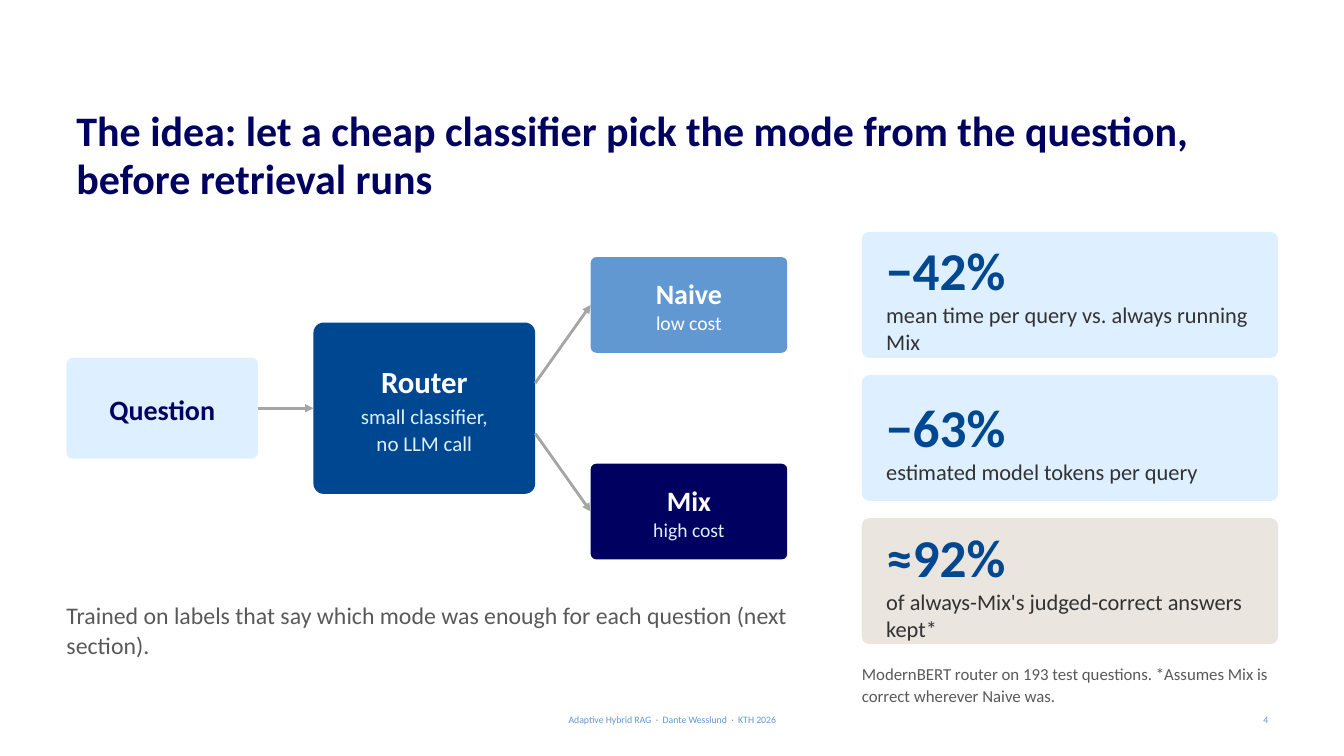
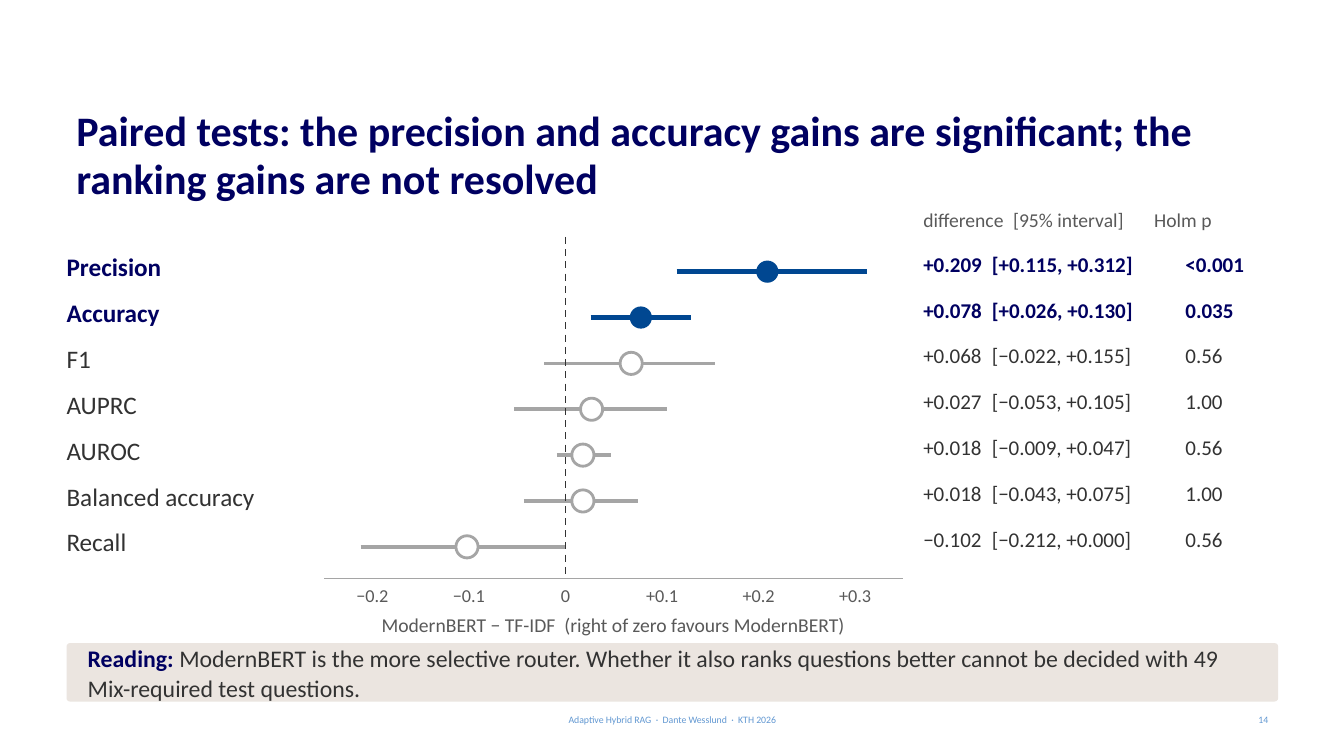
"""Build two slides on routing questions between retrieval modes."""
import dataclasses

import pptx
import pptx.dml.color
import pptx.enum.dml
import pptx.enum.shapes
import pptx.enum.text
import pptx.oxml.ns
import pptx.oxml.xmlchemy
import pptx.util

ALIGN = pptx.enum.text.PP_ALIGN
ANCHOR = pptx.enum.text.MSO_ANCHOR
SHAPE = pptx.enum.shapes.MSO_SHAPE
ELEMENT = pptx.oxml.xmlchemy.OxmlElement


@dataclasses.dataclass(frozen=True)
class Theme:
    font: str = "Calibri"
    navy: str = "000061"
    blue: str = "004791"
    sky: str = "6298D2"
    ice: str = "DEF0FF"
    sand: str = "EBE5E0"
    ink: str = "323232"
    muted: str = "595959"
    rule: str = "A5A5A5"
    white: str = "FFFFFF"
    title: int = 30
    figure: int = 38
    router: int = 22
    node: int = 20
    metric: int = 18
    body: int = 17
    caption: int = 16
    value: int = 15
    label: int = 14
    tick: int = 13
    note: int = 12
    footer: int = 7


THEME = Theme()
CELL = 0.1
COLUMNS, ROWS = 133.33, 75
LEFT, WIDTH = 6.6, 120.2
STAT_LEFT, STAT_WIDTH = 85.5, 41.3
VALUE_LEFT, HOLM_LEFT = 91.6, 117.6
ZERO, COLUMNS_PER_UNIT = 56.1, 95.8
AXIS_LOW, AXIS_HIGH, AXIS_ROW = -0.25, 0.35, 57.4
FIRST_ROW, ROW_STEP, MARKER = 26.95, 4.55, 2.2


@dataclasses.dataclass(frozen=True)
class Run:
    text: str
    size: int
    color: str
    bold: bool = False


@dataclasses.dataclass(frozen=True)
class Line:
    runs: tuple
    after: int = 6
    spacing: float = 1.05
    tabs: tuple = ()


def line(text, size, color, bold=False, **layout):
    return Line((Run(text, size, color, bold),), **layout)


def grid(*cells):
    return [pptx.util.Inches(cell * CELL) for cell in cells]


def rgb(color):
    return pptx.dml.color.RGBColor.from_string(color)


def add_tabs(paragraph, stops):
    tab_list = ELEMENT("a:tabLst")
    for stop in grid(*stops):
        tab = ELEMENT("a:tab")
        tab.set("pos", str(stop))
        tab.set("algn", "l")
        tab_list.append(tab)
    paragraph._p.get_or_add_pPr().append(tab_list)


def write(shape, lines, align=ALIGN.LEFT, anchor=ANCHOR.TOP, insets=(0, 0, 0, 0)):
    frame = shape.text_frame
    frame.word_wrap = True
    frame.vertical_anchor = anchor
    (frame.margin_left, frame.margin_top,
     frame.margin_right, frame.margin_bottom) = grid(*insets)
    for index, content in enumerate(lines):
        paragraph = frame.add_paragraph() if index else frame.paragraphs[0]
        if content.tabs:
            add_tabs(paragraph, content.tabs)
        paragraph.alignment = align
        paragraph.line_spacing = content.spacing
        paragraph.space_after = pptx.util.Pt(content.after)
        paragraph.text = content.runs[0].text
        for extra in content.runs[1:]:
            paragraph.add_run().text = extra.text
        styles = content.runs if len(content.runs) > 1 else content.runs * len(paragraph.runs)
        for run, style in zip(paragraph.runs, styles):
            run.font.name = THEME.font
            run.font.size = pptx.util.Pt(style.size)
            run.font.bold = style.bold
            run.font.color.rgb = rgb(style.color)


def add_text(slide, box, *lines, **layout):
    write(slide.shapes.add_textbox(*grid(*box)), lines, **layout)


def add_filled(slide, kind, box, fill, outline=None):
    shape = slide.shapes.add_shape(kind, *grid(*box))
    shape.shadow.inherit = False
    shape.fill.solid()
    shape.fill.fore_color.rgb = rgb(fill)
    if outline:
        shape.line.color.rgb = rgb(outline)
        shape.line.width = pptx.util.Pt(2)
    else:
        shape.line.fill.background()
    return shape


def add_panel(slide, box, fill, *lines, inset=1.8, align=ALIGN.LEFT):
    panel = add_filled(slide, SHAPE.ROUNDED_RECTANGLE, box, fill)
    panel.adjustments[0] = 0.06
    write(panel, lines, align, ANCHOR.MIDDLE, (inset,) * 4)
    return panel


def add_line(slide, start, end, color, width, dashed=False):
    connector = slide.shapes.add_connector(
        pptx.enum.shapes.MSO_CONNECTOR.STRAIGHT, *grid(*start, *end))
    connector.line.color.rgb = rgb(color)
    connector.line.width = pptx.util.Pt(width)
    if dashed:
        connector.line.dash_style = pptx.enum.dml.MSO_LINE.DASH
    connector._element.spPr.append(ELEMENT("a:effectLst"))
    return connector


def add_arrow(slide, start, end, target, source=None):
    arrow = add_line(slide, start, end, THEME.rule, 2)
    if source is not None:
        arrow.begin_connect(source, 3)
    arrow.end_connect(target, 1)
    head = ELEMENT("a:tailEnd")
    head.set("type", "triangle")
    arrow._element.spPr.find(pptx.oxml.ns.qn("a:ln")).append(head)


def add_slide(presentation, title, number):
    slide = presentation.slides.add_slide(presentation.slide_layouts[6])
    add_text(slide, (LEFT, 9.5, WIDTH, 10.5),
             line(title, THEME.title, THEME.navy, True, after=0, spacing=0.95),
             insets=(1, 1.2, 1, 0.5))
    footers = (
        (44.2, 45, "Adaptive Hybrid RAG  ·  Dante Wesslund  ·  KTH 2026", ALIGN.CENTER),
        (96.8, 30, str(number), ALIGN.RIGHT),
    )
    for left, width, text, align in footers:
        add_text(slide, (left, 70.8, width, 1.1),
                 line(text, THEME.footer, THEME.sky, after=0, spacing=1),
                 align=align, anchor=ANCHOR.MIDDLE, insets=(1, 0.5, 1, 0.5))
    return slide


def add_node(slide, box, fill, *lines):
    return add_panel(slide, box, fill, *lines, align=ALIGN.CENTER)


def add_mode(slide, top, fill, name, cost, cost_color):
    return add_node(slide, (58.6, top, 19.5, 9.5), fill,
                    line(name, THEME.node, THEME.white, True, after=0),
                    line(cost, THEME.label, cost_color))


def add_routing(slide):
    question = add_node(slide, (LEFT, 35.5, 19, 10), THEME.ice,
                        line("Question", THEME.node, THEME.navy, True))
    router = add_node(slide, (31.1, 32, 22, 17), THEME.blue,
                      line("Router", THEME.router, THEME.white, True, after=2),
                      line("small classifier,\nno LLM call", THEME.value, THEME.ice))
    naive = add_mode(slide, 25.5, THEME.sky, "Naive", "low cost", THEME.white)
    mix = add_mode(slide, 46, THEME.navy, "Mix", "high cost", THEME.ice)
    add_arrow(slide, (25.6, 40.5), (31.1, 40.5), router, question)
    add_arrow(slide, (53.1, 38), (58.6, 30.25), naive)
    add_arrow(slide, (53.1, 43), (58.6, 50.75), mix)


def add_stats(slide):
    stats = (
        ("−42%", "mean time per query vs. always running Mix", THEME.ice),
        ("−63%", "estimated model tokens per query", THEME.ice),
        ("≈92%", "of always-Mix's judged-correct answers kept*", THEME.sand),
    )
    for index, (figure, caption, fill) in enumerate(stats):
        add_panel(slide, (STAT_LEFT, 23 + 14.2 * index, STAT_WIDTH, 12.5), fill,
                  line(figure, THEME.figure, THEME.blue, True, after=0),
                  line(caption, THEME.caption, THEME.ink, spacing=1),
                  inset=2.2)


def add_idea_slide(presentation):
    slide = add_slide(presentation, "The idea: let a cheap classifier pick the mode "
                      "from the question, before retrieval runs", 4)
    add_routing(slide)
    add_text(slide, (LEFT, 59.5, 72, 8),
             line("Trained on labels that say which mode was enough for each "
                  "question (next section).", THEME.body, THEME.muted))
    add_stats(slide)
    add_text(slide, (STAT_LEFT, 65.8, STAT_WIDTH, 4),
             line("ModernBERT router on 193 test questions. *Assumes Mix is "
                  "correct wherever Naive was.", THEME.note, THEME.muted))


def signed(value, digits):
    return f"{value:+.{digits}f}".replace("-", "−")


def axis_column(value):
    return ZERO + value * COLUMNS_PER_UNIT


def add_test(slide, index, name, difference, low, high, holm, significant):
    middle = FIRST_ROW + ROW_STEP * index
    top = middle - 2.15
    color = THEME.navy if significant else THEME.ink
    accent, width = (THEME.blue, 3.5) if significant else (THEME.rule, 2.5)
    fill, outline = (THEME.blue, None) if significant else (THEME.white, THEME.rule)
    add_line(slide, (axis_column(low), middle), (axis_column(high), middle), accent, width)
    add_filled(slide, SHAPE.OVAL,
               (axis_column(difference) - MARKER / 2, middle - MARKER / 2, MARKER, MARKER),
               fill, outline)
    interval = f"{signed(difference, 3)}\t[{signed(low, 3)}, {signed(high, 3)}]"
    cells = (
        (LEFT, 24.5, name, THEME.metric, ()),
        (VALUE_LEFT, 26, interval, THEME.value, (6.8,)),
        (HOLM_LEFT, 9.5, holm, THEME.value, ()),
    )
    for left, cell_width, text, size, tabs in cells:
        add_text(slide, (left, top, cell_width, 4.2),
                 line(text, size, color, significant, tabs=tabs))


def add_axis(slide):
    add_line(slide, (ZERO, 23.5), (ZERO, AXIS_ROW), THEME.ink, 1.25, dashed=True)
    add_line(slide, (axis_column(AXIS_LOW), AXIS_ROW),
             (axis_column(AXIS_HIGH), AXIS_ROW), THEME.rule, 1)
    for tenth in range(-2, 4):
        value = tenth / 10
        add_text(slide, (axis_column(value) - 4, 57.9, 8, 3),
                 line(signed(value, 1) if tenth else "0", THEME.tick, THEME.muted),
                 align=ALIGN.CENTER)
    add_text(slide, (28.1, 60.7, 65.5, 3),
             line("ModernBERT − TF-IDF  (right of zero favours ModernBERT)",
                  THEME.label, THEME.muted), align=ALIGN.CENTER)


def add_tests_slide(presentation):
    slide = add_slide(presentation, "Paired tests: the precision and accuracy gains are "
                      "significant; the ranking gains are not resolved", 14)
    add_text(slide, (VALUE_LEFT, 20.5, 36, 3.5),
             line("difference\t[95% interval]\tHolm p", THEME.label, THEME.muted,
                  tabs=(8.9, 22.9)))
    tests = (
        ("Precision", 0.209, 0.115, 0.312, "<0.001", True),
        ("Accuracy", 0.078, 0.026, 0.130, "0.035", True),
        ("F1", 0.068, -0.022, 0.155, "0.56", False),
        ("AUPRC", 0.027, -0.053, 0.105, "1.00", False),
        ("AUROC", 0.018, -0.009, 0.047, "0.56", False),
        ("Balanced accuracy", 0.018, -0.043, 0.075, "1.00", False),
        ("Recall", -0.102, -0.212, 0.000, "0.56", False),
    )
    for index, test in enumerate(tests):
        add_test(slide, index, *test)
    add_axis(slide)
    reading = Line((
        Run("Reading: ", THEME.body, THEME.navy, True),
        Run("ModernBERT is the more selective router. Whether it also ranks questions "
            "better cannot be decided with 49 Mix-required test questions.",
            THEME.body, THEME.ink),
    ))
    add_panel(slide, (LEFT, 63.8, WIDTH, 5.8), THEME.sand, reading, inset=2)


def main():
    presentation = pptx.Presentation()
    presentation.slide_width, presentation.slide_height = grid(COLUMNS, ROWS)
    add_idea_slide(presentation)
    add_tests_slide(presentation)
    presentation.save("out.pptx")


if __name__ == "__main__":
    main()
